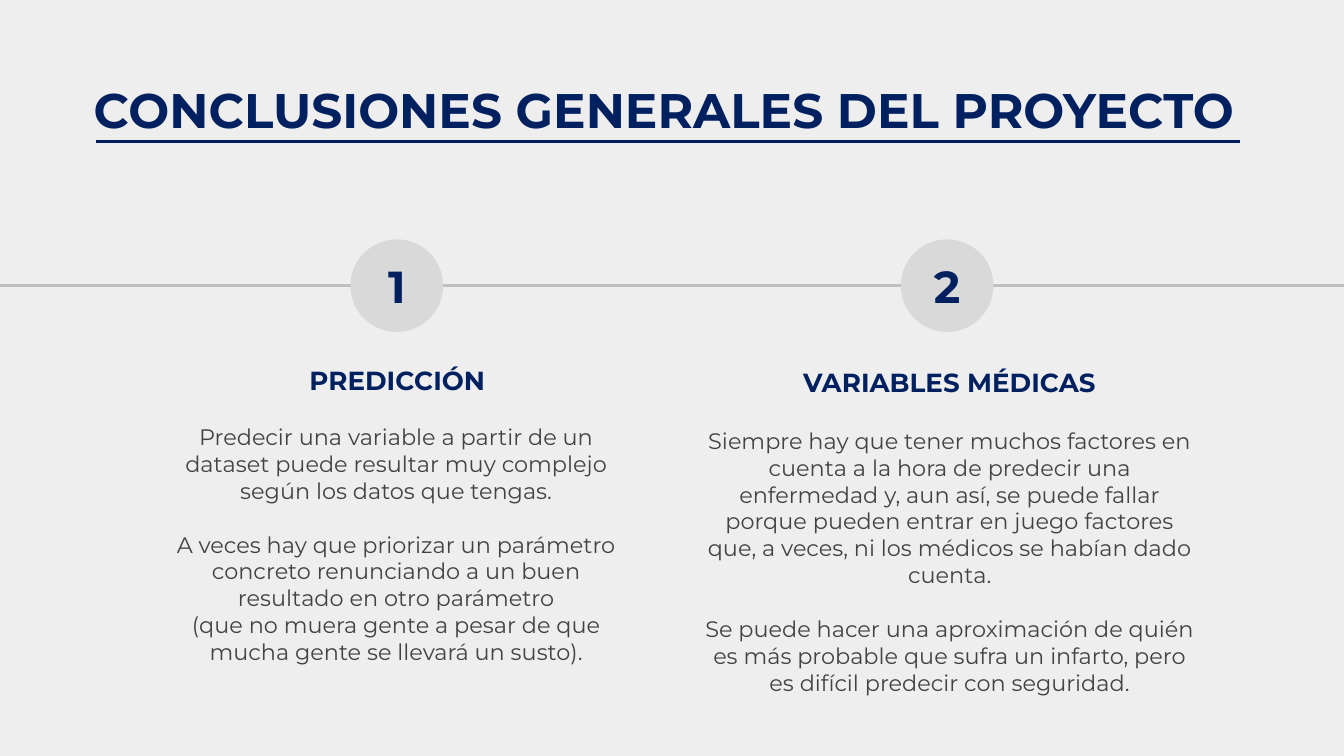
from pptx import Presentation
from pptx import util as u
from pptx.dml import color
from pptx.enum import shapes, text
from pptx.oxml import ns

NAVY, GRAY = "002060", "434343"
TITLE = {"size": u.Pt(26), "bold": True, "name": "Montserrat"}
HEADING = {**TITLE, "size": u.Pt(14)}
NUMBER = {**TITLE, "size": u.Pt(24)}
BODY = {**TITLE, "size": u.Pt(12), "bold": False}
CENTER = text.PP_ALIGN.CENTER
TOP, MIDDLE = text.MSO_ANCHOR.TOP, text.MSO_ANCHOR.MIDDLE


def rgb(value):
    return color.RGBColor.from_string(value)


def add_text(box, paragraphs, font, ink, align=CENTER, anchor=TOP):
    frame = slide.shapes.add_textbox(*map(u.Cm, box)).text_frame
    layout = {"word_wrap": True, "vertical_anchor": anchor}
    layout.update({f"margin_{side}": u.Cm(0.25) for side in ("left", "top", "right", "bottom")})
    for key, value in layout.items():
        setattr(frame, key, value)
    for index, (words, gap) in enumerate(paragraphs):
        paragraph = frame.add_paragraph() if index else frame.paragraphs[0]
        paragraph.alignment = align
        paragraph.space_before = u.Pt(gap)
        run = paragraph.add_run()
        run.text = words
        for key, value in font.items():
            setattr(run.font, key, value)
        run.font.color.rgb = rgb(ink)


presentation = Presentation()
presentation.slide_width = u.Cm(25.4)
presentation.slide_height = u.Cm(14.29)
slide = presentation.slides.add_slide(presentation.slide_layouts[6])
slide.background.fill.solid()
slide.background.fill.fore_color.rgb = rgb("EEEEEE")

for left, right, y, ink in [(0, 25.4, 5.39, "BFBFBF"), (1.82, 23.44, 2.67, NAVY)]:
    line = slide.shapes.add_connector(
        shapes.MSO_CONNECTOR.STRAIGHT, u.Cm(left), u.Cm(y), u.Cm(right), u.Cm(y))
    line.line.color.rgb = rgb(ink)
    line.line.width = u.Pt(1.5)
    effects = line._element.spPr.makeelement(ns.qn("a:effectLst"), {})
    line._element.spPr.append(effects)

add_text((1.52, 1.27, 22.48, 1.6), [("CONCLUSIONES GENERALES DEL PROYECTO", 0)],
         TITLE, NAVY, align=text.PP_ALIGN.LEFT)

columns = [
    ("1", 7.5, "PREDICCIÓN", (3.61, 6.63, 7.8, 2.21), (2.92, 7.75, 9.14, 5.31), [
        ("Predecir una variable a partir de un dataset puede resultar muy complejo "
         "según los datos que tengas.", 0),
        ("A veces hay que priorizar un parámetro concreto renunciando a un buen "
         "resultado en otro parámetro", 14.4),
        ("(que no muera gente a pesar de que mucha gente se llevará un susto).", 0),
    ]),
    ("2", 17.9, "VARIABLES MÉDICAS", (14.48, 6.68, 6.93, 1.6), (13.06, 7.82, 9.78, 5.31), [
        ("Siempre hay que tener muchos factores en cuenta a la hora de predecir una "
         "enfermedad y, aun así, se puede fallar porque pueden entrar en juego factores "
         "que, a veces, ni los médicos se habían dado cuenta.", 0),
        ("Se puede hacer una aproximación de quién es más probable que sufra un infarto, "
         "pero es difícil predecir con seguridad.", 14.4),
    ]),
]

diameter, number_width, number_height, center_y = 1.75, 4.7, 1.4, 5.4
for number, center_x, heading, heading_box, body_box, body in columns:
    circle = slide.shapes.add_shape(
        shapes.MSO_SHAPE.OVAL, u.Cm(center_x - diameter / 2), u.Cm(center_y - diameter / 2),
        u.Cm(diameter), u.Cm(diameter))
    circle.shadow.inherit = False
    circle.fill.solid()
    circle.fill.fore_color.rgb = rgb("D9D9D9")
    circle.line.fill.background()
    number_box = (center_x - number_width / 2, center_y - number_height / 2,
                  number_width, number_height)
    add_text(number_box, [(number, 0)], NUMBER, NAVY, anchor=MIDDLE)
    add_text(heading_box, [(heading, 0)], HEADING, NAVY)
    add_text(body_box, body, BODY, GRAY)

presentation.save("out.pptx")
